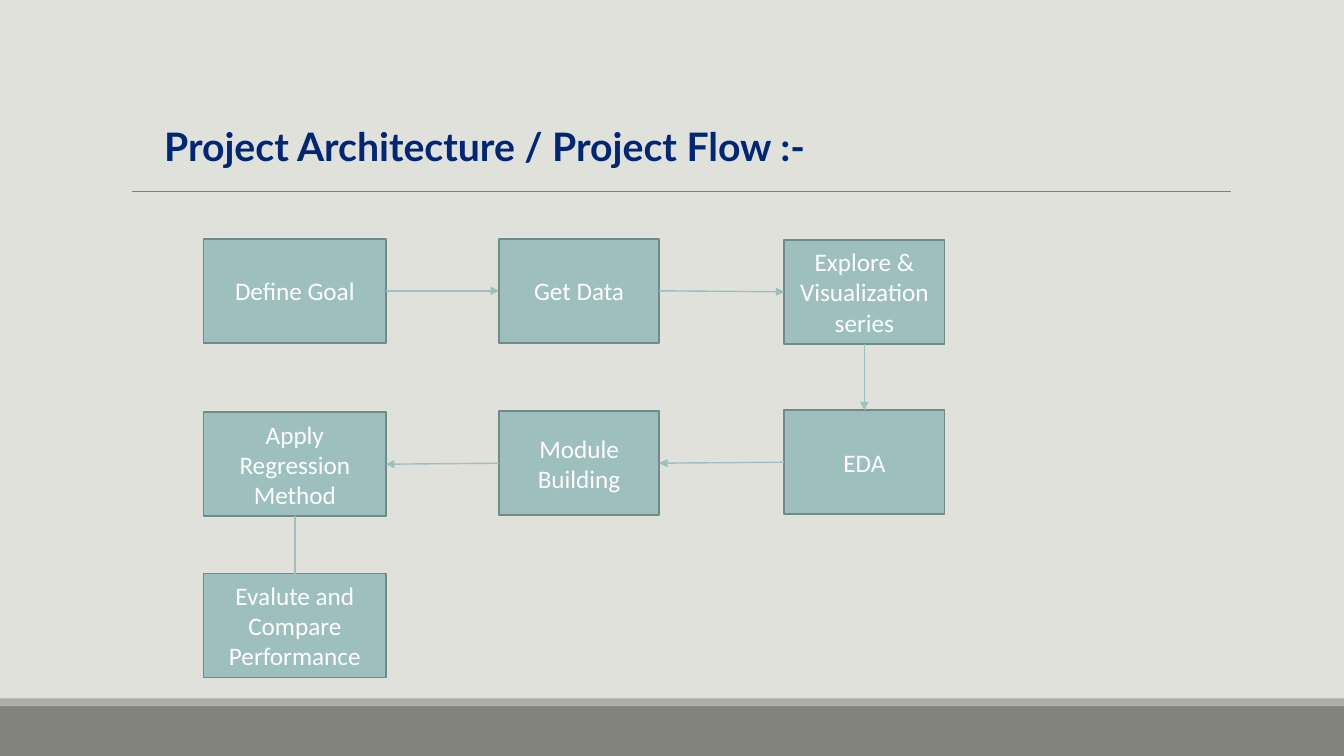
from lxml import etree
from pptx import Presentation
from pptx.dml.color import RGBColor
from pptx.enum import shapes, text
from pptx.oxml import ns
from pptx.util import Pt

COLORS = {
    "background": "E1E1DB", "footer": "82837C", "footer_edge": "ACADA8",
    "rule": "7F7F7F", "title": "002776", "step": "9DBFBE",
    "step_edge": "728B8A", "step_text": "FFFFFF",
}
SLIDE_SIZE = (960, 540)
TITLE = "Project Architecture / Project Flow :-"
TITLE_BOX = (110.16, 83.52, 591.84, 41.04)
RULE = (94.32, 136.8, 879.12, 136.8)
BANDS = [("footer", 504, 36), ("footer_edge", 498.96, 5.04)]

COLUMNS = [(145.44, 130.32), (356.4, 114.48), (560.16, 114.48)]
STEP_HEIGHT = 74.2
STEPS = [
    ("Define Goal", 0, 170.64),
    ("Get Data", 1, 170.64),
    ("Explore & Visualization series", 2, 171.36),
    ("EDA", 2, 293.04),
    ("Module Building", 1, 293.76),
    ("Apply Regression Method", 0, 294.48),
    ("Evalute and Compare Performance", 0, 409.68),
]
FLOW = ["right", "right", "down", "left", "left", "down"]
LAST_OVERLAP = 10.8
SIDES = {
    "right": ((1, 0.5), (0, 0.5)),
    "left": ((0, 0.5), (1, 0.5)),
    "down": ((0.5, 1), (0.5, 0)),
}
FRAME = {
    "word_wrap": True, "margin_left": Pt(7.2), "margin_right": Pt(7.2),
    "margin_top": Pt(3.6), "margin_bottom": Pt(3.6),
}
TITLE_FONT = {"name": "Lato", "size": Pt(28), "bold": True}
STEP_FONT = {"name": "Calibri", "size": Pt(18), "bold": False}


def color(name):
    return RGBColor.from_string(COLORS[name])


def apply(target, values):
    for name, value in values.items():
        setattr(target, name, value)


def write(shape, words, font, ink, frame, align):
    apply(shape.text_frame, {**FRAME, **frame})
    paragraph = shape.text_frame.paragraphs[0]
    paragraph.alignment = align
    run = paragraph.add_run()
    run.text = words
    apply(run.font, font)
    run.font.color.rgb = color(ink)


def add_rect(slide, box, fill, edge=None):
    rect = slide.shapes.add_shape(shapes.MSO_SHAPE.RECTANGLE, *map(Pt, box))
    rect.shadow.inherit = False
    rect.fill.solid()
    rect.fill.fore_color.rgb = color(fill)
    if edge:
        rect.line.color.rgb = color(edge)
        rect.line.width = Pt(1.25)
    else:
        rect.line.fill.background()
    return rect


def add_line(slide, ends, ink, width, arrow=False):
    line = slide.shapes.add_connector(
        shapes.MSO_CONNECTOR.STRAIGHT, *map(Pt, ends))
    line.line.color.rgb = color(ink)
    line.line.width = Pt(width)
    if arrow:
        etree.SubElement(line.line._get_or_add_ln(), ns.qn("a:tailEnd"), type="triangle")
    etree.SubElement(line._element.spPr, ns.qn("a:effectLst"))


def anchor(box, side):
    left, top, width, height = box
    return left + side[0] * width, top + side[1] * height


def main():
    deck = Presentation()
    deck.slide_width, deck.slide_height = map(Pt, SLIDE_SIZE)
    slide = deck.slides.add_slide(deck.slide_layouts[6])
    slide.background.fill.solid()
    slide.background.fill.fore_color.rgb = color("background")

    add_line(slide, RULE, "rule", 0.75)
    for fill, top, height in BANDS:
        add_rect(slide, (0, top, SLIDE_SIZE[0], height), fill)

    title = slide.shapes.add_textbox(*map(Pt, TITLE_BOX))
    write(title, TITLE, TITLE_FONT, "title",
          {"auto_size": text.MSO_AUTO_SIZE.SHAPE_TO_FIT_TEXT},
          text.PP_ALIGN.LEFT)

    boxes = []
    for label, column, top in STEPS:
        left, width = COLUMNS[column]
        box = (left, top, width, STEP_HEIGHT)
        step = add_rect(slide, box, "step", "step_edge")
        write(step, label, STEP_FONT, "step_text",
              {"vertical_anchor": text.MSO_ANCHOR.MIDDLE},
              text.PP_ALIGN.CENTER)
        boxes.append(box)

    overlaps = [0] * (len(FLOW) - 1) + [LAST_OVERLAP]
    for start, end, way, overlap in zip(boxes, boxes[1:], FLOW, overlaps):
        leave, enter = SIDES[way]
        x, y = anchor(end, enter)
        add_line(slide, (*anchor(start, leave), x, y + overlap), "step", 1, True)

    deck.save("out.pptx")


if __name__ == "__main__":
    main()
